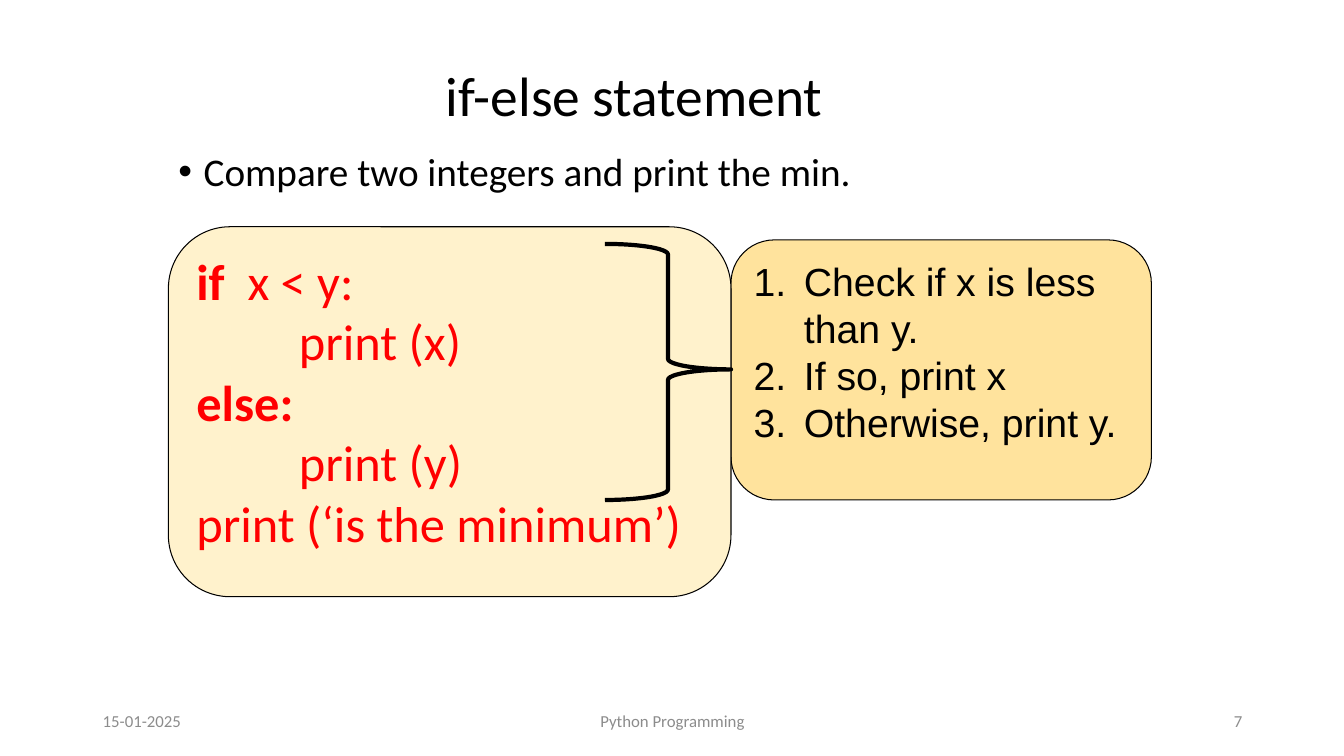
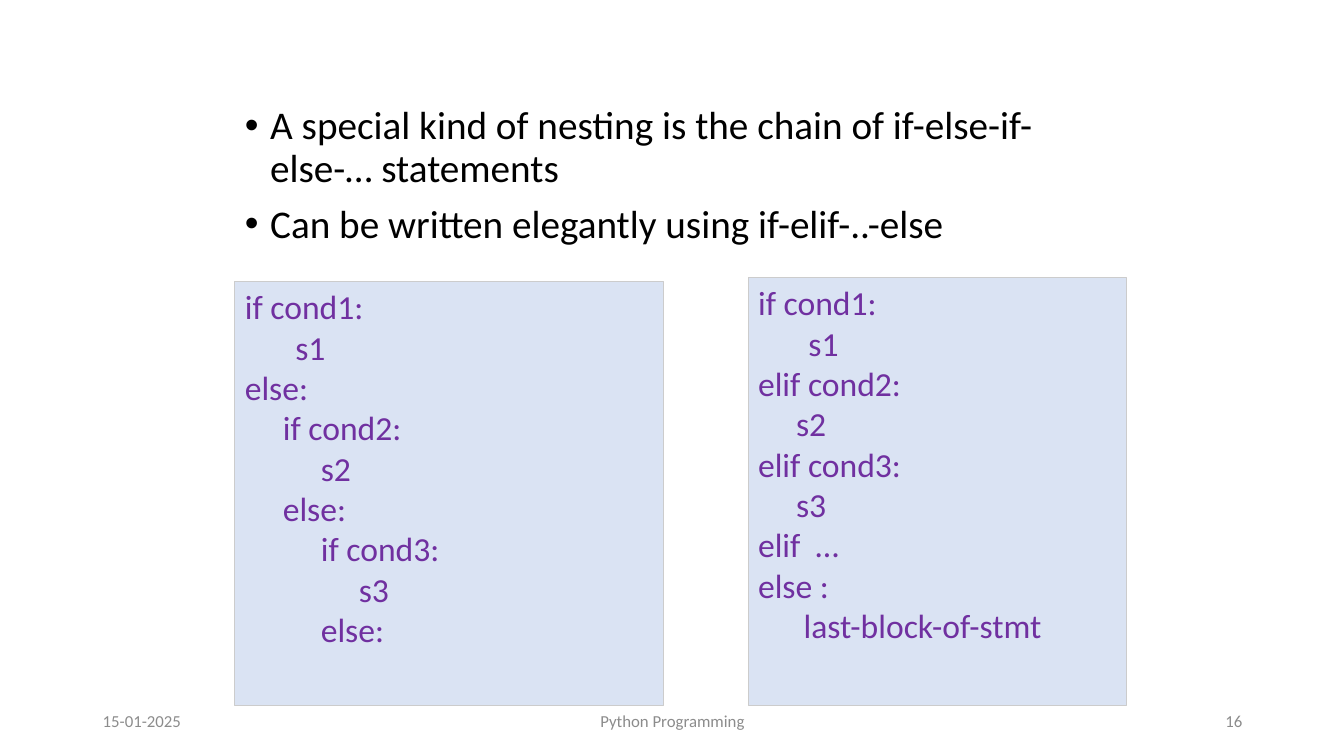
"""Builds two slides on Python if-else statements."""
import lxml.etree
import pptx
import pptx.dml.color
import pptx.enum.shapes
import pptx.enum.text
import pptx.oxml.ns
import pptx.util

SCALE = 9144
BLACK, RED, PURPLE, GREY = "000000", "FF0000", "7030A0", "8C8C8C"
CREAM, GOLD, PALE_BLUE, PALE_GREY = "FFF2CC", "FFE39D", "DAE3F3", "CCCCCC"
ALIGN = pptx.enum.text.PP_ALIGN
ANCHOR = pptx.enum.text.MSO_ANCHOR
SHAPE = pptx.enum.shapes.MSO_SHAPE
DOT = ("buChar", "char", "•")
NUMBER = ("buAutoNum", "type", "arabicPeriod")


def color(value):
    return pptx.dml.color.RGBColor.from_string(value)


def write(shape, lines, size, ink, font="Calibri", bold=(), align=ALIGN.LEFT,
          anchor=ANCHOR.TOP, bullet=None, indent=0, spacing=None, before=0):
    frame = shape.text_frame
    frame.word_wrap = True
    frame.auto_size = pptx.enum.text.MSO_AUTO_SIZE.NONE
    frame.vertical_anchor = anchor
    for index, line in enumerate(lines):
        paragraph = frame.add_paragraph() if index else frame.paragraphs[0]
        if bullet:
            tag, key, value = bullet
            properties = paragraph._p.get_or_add_pPr()
            properties.set("marL", str(indent * SCALE))
            properties.set("indent", str(-indent * SCALE))
            mark = lxml.etree.SubElement(properties, pptx.oxml.ns.qn("a:" + tag))
            mark.set(key, value)
        paragraph.alignment = align
        paragraph.line_spacing = spacing
        paragraph.space_before = pptx.util.Pt(before if index else 0)
        for text in [line] if isinstance(line, str) else line:
            run = paragraph.add_run()
            run.text = text
            run.font.name = font
            run.font.size = pptx.util.Pt(size)
            run.font.bold = text in bold
            run.font.color.rgb = color(ink)


presentation = pptx.Presentation()
presentation.slide_width = 1333 * SCALE
presentation.slide_height = 750 * SCALE

slides = [
    {
        "number": "7",
        "title": "if-else statement",
        "body": (167, 146, 967, 58),
        "bullets": ["Compare two integers and print the min."],
        "shapes": [
            (SHAPE.ROUNDED_RECTANGLE, (725, 238, 417, 258), GOLD, BLACK,
             ["Check if x is less than y.", "If so, print x", "Otherwise, print y."],
             {"size": 28, "ink": BLACK, "font": "Arial", "bullet": NUMBER, "indent": 50}),
            (SHAPE.ROUNDED_RECTANGLE, (167, 225, 558, 367), CREAM, BLACK,
             [["if", "  x < y:"], "         print (x)", "else:", "         print (y)",
              "print (‘is the minimum’)"],
             {"size": 36, "ink": RED, "bold": ("if", "else:")}),
            (SHAPE.LEFT_BRACE, (600, 242, 125, 254), CREAM, BLACK, [], {}),
        ],
    },
    {
        "number": "16",
        "title": None,
        "body": (233, 100, 875, 200),
        "bullets": ["A special kind of nesting is the chain of if-else-if-else-… statements",
                    "Can be written elegantly using if-elif-..-else"],
        "shapes": [
            (SHAPE.RECTANGLE, (742, 275, 375, 425), PALE_BLUE, PALE_GREY,
             ["if cond1:", "\ts1", "elif cond2:", "     s2", "elif cond3:", "     s3",
              "elif  …", "else :", "      last-block-of-stmt"],
             {"size": 24, "ink": PURPLE}),
            (SHAPE.RECTANGLE, (233, 279, 425, 421), PALE_BLUE, PALE_GREY,
             ["if cond1:", "\ts1", "else:", "     if cond2:", "          s2", "     else:",
              "          if cond3:", "               s3", "          else:"],
             {"size": 24, "ink": PURPLE}),
        ],
    },
]

for content in slides:
    slide = presentation.slides.add_slide(presentation.slide_layouts[1])
    title, body = slide.placeholders
    if content["title"]:
        title.left, title.top, title.width, title.height = [
            length * SCALE for length in (432, 69, 436, 58)]
        write(title, [content["title"]], 39.6, BLACK, anchor=ANCHOR.MIDDLE, spacing=0.9)
    else:
        title.element.getparent().remove(title.element)
    body.left, body.top, body.width, body.height = [
        length * SCALE for length in content["body"]]
    write(body, content["bullets"], 28, BLACK, bullet=DOT, indent=25, spacing=0.9, before=10)

    for kind, box, fill, line, lines, style in content["shapes"]:
        shape = slide.shapes.add_shape(kind, *[length * SCALE for length in box])
        shape.shadow.inherit = False
        shape.fill.solid()
        shape.fill.fore_color.rgb = color(fill)
        shape.line.color.rgb = color(line)
        shape.line.width = pptx.util.Pt(0.75)
        if kind == SHAPE.LEFT_BRACE:
            shape.rotation = 180
            shape.adjustments[1] = 0.51
            shape.line.width = pptx.util.Pt(3)
        else:
            write(shape, lines, **style)

    for left, width, text, align in [
        (92, 300, "15-01-2025", ALIGN.LEFT),
        (442, 450, "Python Programming", ALIGN.CENTER),
        (942, 300, content["number"], ALIGN.RIGHT),
    ]:
        footer = slide.shapes.add_textbox(
            left * SCALE, 695 * SCALE, width * SCALE, 40 * SCALE)
        write(footer, [text], 12, GREY, align=align, anchor=ANCHOR.MIDDLE)

presentation.save("out.pptx")
